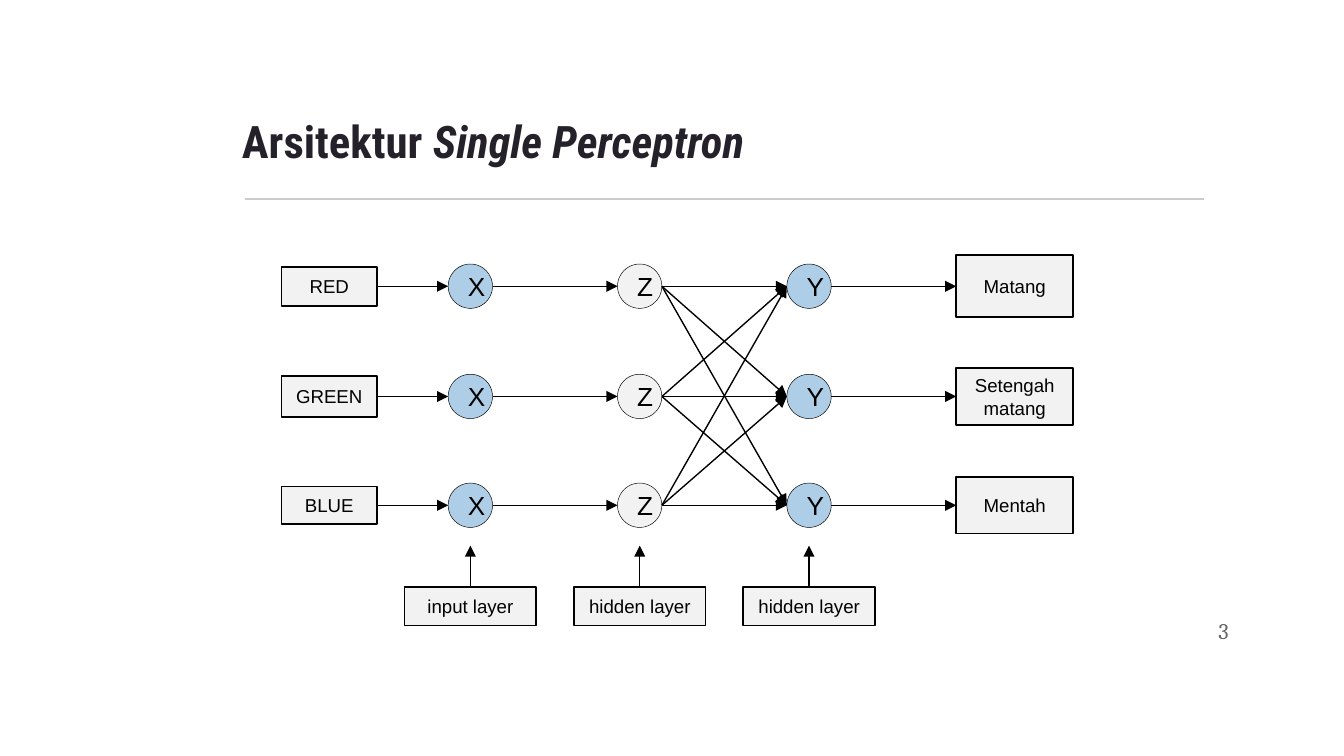
"""Build the slide on the layers of a single perceptron."""
from dataclasses import dataclass
from itertools import product

from lxml.etree import SubElement
from pptx import Presentation
from pptx.dml.color import RGBColor
from pptx.enum.shapes import MSO_CONNECTOR, MSO_SHAPE
from pptx.enum.text import MSO_ANCHOR, MSO_AUTO_SIZE, PP_ALIGN
from pptx.oxml.ns import qn
from pptx.shapes.autoshape import Shape
from pptx.slide import Slide
from pptx.util import Inches, Pt


@dataclass(frozen=True)
class Theme:
    """Colours, fonts and type sizes."""
    ink: str = "000000"
    title: str = "25212A"
    muted: str = "666666"
    rule: str = "CCCCCC"
    blue: str = "AECDE6"
    pale: str = "F2F2F2"
    head: str = "Roboto Condensed"
    text: str = "Arial"
    serif: str = "Cambria"
    large: float = 24
    letter: float = 14
    number: float = 12
    label: float = 10


@dataclass(frozen=True)
class Box:
    """A label box given by its centre and size."""
    text: str
    x: float
    y: float
    width: float
    height: float


@dataclass(frozen=True)
class Layer:
    """A column of equal nodes and its caption."""
    letter: str
    fill: str
    label: str
    x: float


THEME = Theme()
SIZE = 0.33
RADIUS = SIZE / 2
ROWS = (2.13, 2.95, 3.76)
LAYERS = [
    Layer(letter, fill, label, 3.5 + 1.26 * column)
    for column, (letter, fill, label) in enumerate([
        ("X", THEME.blue, "input layer"),
        ("Z", THEME.pale, "hidden layer"),
        ("Y", THEME.blue, "hidden layer"),
    ])
]
INPUTS = [
    Box(text, 2.45, y, 0.71, height)
    for text, y, height in zip(("RED", "GREEN", "BLUE"), ROWS, (0.29, 0.31, 0.28))
]
OUTPUTS = [
    Box(text, 7.55, y, 0.87, height)
    for text, y, height in zip(("Matang", "Setengah matang", "Mentah"), ROWS, (0.46, 0.42, 0.42))
]


def write(shape: Shape, text: str, *, size: float = THEME.label, font: str = THEME.text,
          color: str = THEME.ink, bold: bool = False, italic: bool = False,
          align: PP_ALIGN = PP_ALIGN.CENTER, anchor: MSO_ANCHOR = MSO_ANCHOR.MIDDLE) -> None:
    """Add a run of text in the given format."""
    frame = shape.text_frame
    frame.word_wrap = True
    frame.auto_size = MSO_AUTO_SIZE.NONE
    frame.vertical_anchor = anchor
    line = frame.paragraphs[0]
    line.alignment = align
    run = line.add_run()
    run.text = text
    run.font.name, run.font.size = font, Pt(size)
    run.font.bold, run.font.italic = bold, italic
    run.font.color.rgb = RGBColor.from_string(color)


def pad(shape: Shape) -> None:
    """Set equal margins on all sides."""
    frame = shape.text_frame
    frame.margin_left = frame.margin_right = Inches(0.1)
    frame.margin_top = frame.margin_bottom = Inches(0.1)


def draw(slide: Slide, box: Box, kind: MSO_SHAPE = MSO_SHAPE.RECTANGLE, fill: str = THEME.pale,
         weight: float = 1, size: float = THEME.label) -> None:
    """Draw a filled shape with a centred label."""
    shape = slide.shapes.add_shape(
        kind, Inches(box.x - box.width / 2), Inches(box.y - box.height / 2),
        Inches(box.width), Inches(box.height))
    shape.shadow.inherit = False
    shape.fill.solid()
    shape.fill.fore_color.rgb = RGBColor.from_string(fill)
    shape.line.color.rgb = RGBColor.from_string(THEME.ink)
    shape.line.width = Pt(weight)
    write(shape, box.text, size=size)


def link(slide: Slide, start: tuple[float, float], end: tuple[float, float],
         color: str = THEME.ink, arrow: bool = True) -> None:
    """Draw a straight line, with an arrowhead if wanted."""
    line = slide.shapes.add_connector(
        MSO_CONNECTOR.STRAIGHT, *(Inches(value) for value in (*start, *end)))
    line.line.color.rgb = RGBColor.from_string(color)
    line.line.width = Pt(0.75)
    shape = line.element.spPr
    if arrow:
        SubElement(shape.find(qn("a:ln")), qn("a:tailEnd"), type="triangle")
    SubElement(shape, qn("a:effectLst"))


def frame(slide: Slide) -> None:
    """Set the title, the rule and the page number."""
    link(slide, (1.82, 1.48), (8.96, 1.48), THEME.rule, arrow=False)
    title = slide.shapes.title
    title.left, title.top = Inches(1.7), Inches(0.58)
    title.width, title.height = Inches(7.24), Inches(0.77)
    pad(title)
    for text, italic in (("Arsitektur ", False), ("Single Perceptron", True)):
        write(title, text, size=THEME.large, font=THEME.head, color=THEME.title, bold=True,
              italic=italic, align=PP_ALIGN.LEFT, anchor=MSO_ANCHOR.BOTTOM)
    page = slide.shapes.add_textbox(Inches(8.64), Inches(4.48), Inches(0.6), Inches(0.43))
    pad(page)
    write(page, "3", size=THEME.number, font=THEME.serif, color=THEME.muted,
          align=PP_ALIGN.RIGHT)


def network(slide: Slide) -> None:
    """Draw the boxes, nodes, captions and arrows."""
    for box in INPUTS + OUTPUTS:
        draw(slide, box)
    for layer in LAYERS:
        for y in ROWS:
            draw(slide, Box(layer.letter, layer.x, y, SIZE, SIZE), MSO_SHAPE.OVAL,
                 layer.fill, 0.25, THEME.letter)
        draw(slide, Box(layer.label, layer.x, 4.51, 0.98, 0.29))
        link(slide, (layer.x, 4.36), (layer.x, 4.06))
    first, middle, last = (layer.x for layer in LAYERS)
    for source, target, y in zip(INPUTS, OUTPUTS, ROWS):
        link(slide, (source.x + source.width / 2, y), (first - RADIUS, y))
        link(slide, (first + RADIUS, y), (middle - RADIUS, y))
        link(slide, (last + RADIUS, y), (target.x - target.width / 2, y))
    for start, end in product(ROWS, ROWS):
        link(slide, (middle + RADIUS, start), (last - RADIUS, end))


def main() -> None:
    """Build and save the deck."""
    deck = Presentation()
    deck.slide_width = Inches(10)
    deck.slide_height = deck.slide_width * 9 // 16
    slide = deck.slides.add_slide(deck.slide_layouts[5])
    frame(slide)
    network(slide)
    deck.save("out.pptx")


if __name__ == "__main__":
    main()
